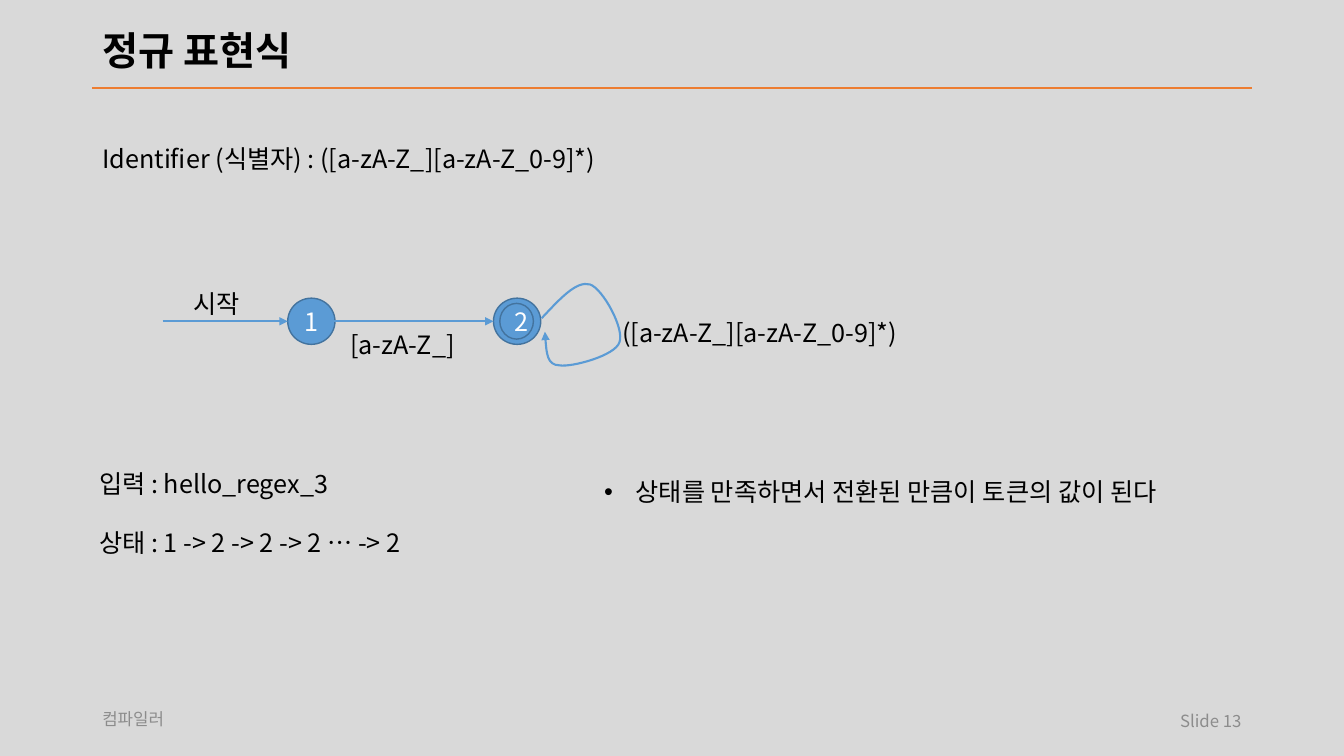
import pptx
import pptx.util
import pptx.dml.color
import pptx.enum.shapes
import pptx.enum.text
from dataclasses import dataclass
from lxml import etree
from pptx.oxml.ns import qn

Anchor = pptx.enum.text.MSO_ANCHOR
Align = pptx.enum.text.PP_ALIGN
AutoSize = pptx.enum.text.MSO_AUTO_SIZE


@dataclass(frozen=True)
class Theme:
    font: str = "Noto Sans CJK KR"
    background: str = "D9D9D9"
    text: str = "000000"
    muted: str = "8C8C8C"
    on_fill: str = "FFFFFF"
    accent: str = "5B9BD5"
    outline: str = "43739E"
    rule: str = "ED7D31"
    title_size: int = 28
    body_size: int = 18
    footer_size: int = 12
    line_width: float = 1.5
    outline_width: float = 1


def px(n):
    return pptx.util.Emu(n * 9525)


def rgb(value):
    return pptx.dml.color.RGBColor.from_string(value)


def apply(target, values):
    for name, value in values.items():
        setattr(target, name, value)


class Deck:
    def __init__(self, theme):
        self.theme = theme
        self.prs = pptx.Presentation()
        apply(self.prs, {"slide_width": px(1280), "slide_height": px(720)})
        self.s = self.prs.slides.add_slide(self.prs.slide_layouts[6])
        self.s.background.fill.solid()
        self.s.background.fill.fore_color.rgb = rgb(theme.background)

    def run(self, p, text, size=None, color=None, bold=False):
        r = p.add_run()
        r.text = text
        apply(r.font, {"size": pptx.util.Pt(size or self.theme.body_size),
                       "bold": bold, "name": self.theme.font})
        r.font.color.rgb = rgb(color or self.theme.text)
        etree.SubElement(r.font._element, qn("a:ea"), typeface=self.theme.font)

    def stroke(self, shape, color, width, arrow=None):
        shape.line.color.rgb = rgb(color)
        shape.line.width = pptx.util.Pt(width)
        if arrow:
            ln = shape.line._get_or_add_ln()
            etree.SubElement(ln, qn("a:" + arrow), type="triangle")

    def text(self, box, lines, frame=None, para=None, bullet=None, **font):
        tf = self.s.shapes.add_textbox(*map(px, box)).text_frame
        apply(tf, {"word_wrap": True, **(frame or {})})
        for i, line in enumerate(lines):
            p = tf.add_paragraph() if i else tf.paragraphs[0]
            apply(p, para or {})
            if i:
                p.space_before = pptx.util.Pt(21)
            if bullet:
                pPr = p._p.get_or_add_pPr()
                pPr.set("marL", str(px(30)))
                pPr.set("indent", str(px(-30)))
                etree.SubElement(pPr, qn("a:buFont"), typeface="Arial")
                etree.SubElement(pPr, qn("a:buChar"), char=bullet)
            self.run(p, line, **font)

    def label(self, box, text):
        self.text(box, [text], {"word_wrap": False,
                                "auto_size": AutoSize.SHAPE_TO_FIT_TEXT})

    def circle(self, box, text=None):
        sp = self.s.shapes.add_shape(pptx.enum.shapes.MSO_SHAPE.OVAL, *map(px, box))
        sp.shadow.inherit = False
        sp.fill.solid()
        sp.fill.fore_color.rgb = rgb(self.theme.accent)
        self.stroke(sp, self.theme.outline, self.theme.outline_width)
        if text:
            sp.text_frame.vertical_anchor = Anchor.MIDDLE
            p = sp.text_frame.paragraphs[0]
            p.alignment = Align.CENTER
            self.run(p, text, color=self.theme.on_fill)

    def line(self, x1, x2, y, color, arrow=None):
        c = self.s.shapes.add_connector(
            pptx.enum.shapes.MSO_CONNECTOR.STRAIGHT, px(x1), px(y), px(x2), px(y))
        self.stroke(c, color, self.theme.line_width, arrow)
        etree.SubElement(c._element.spPr, qn("a:effectLst"))

    def curve(self, start, points, color, arrow=None):
        builder = self.s.shapes.build_freeform(*start, scale=float(px(1)))
        builder.add_line_segments(points, close=False)
        sp = builder.convert_to_shape()
        sp.shadow.inherit = False
        sp.fill.background()
        self.stroke(sp, color, self.theme.line_width, arrow)
        # Every three points become one cubic Bézier segment
        segments = sp._element.xpath(".//a:lnTo")
        for i in range(0, len(segments), 3):
            bezier = etree.Element(qn("a:cubicBezTo"))
            segments[i].addprevious(bezier)
            for segment in segments[i:i + 3]:
                bezier.append(segment[0])
                segment.getparent().remove(segment)


def main():
    theme = Theme()
    deck = Deck(theme)
    middle = {"vertical_anchor": Anchor.MIDDLE}

    # Header
    deck.line(88, 1192, 84, theme.rule)
    deck.text((88, 21, 1104, 58), ["정규 표현식"], middle, {"line_spacing": 0.9},
              size=theme.title_size, bold=True)
    deck.label((88, 132, 577, 38), "Identifier (식별자) : ([a-zA-Z_][a-zA-Z_0-9]*)")

    # States: the accepting one has a double ring
    deck.circle((274, 284, 45, 44), "1")
    deck.circle((470, 284, 45, 44))
    deck.circle((476, 289, 32, 34), "2")

    # Transitions
    for x1, x2 in ((155, 274), (318, 470)):
        deck.line(x1, x2, 306, theme.accent, "tailEnd")
    deck.curve((519, 316), [(520, 331), (521, 348), (533, 348),
                            (544, 350), (586, 339), (590, 326),
                            (595, 313), (574, 275), (562, 271),
                            (549, 267), (533, 285), (516, 303)],
               theme.accent, "headEnd")
    deck.label((175, 270, 68, 38), "시작")
    deck.label((324, 309, 129, 38), "[a-zA-Z_]")
    deck.label((583, 297, 323, 38), "([a-zA-Z_][a-zA-Z_0-9]*)")

    # Worked example
    deck.text((85, 441, 395, 97),
              ["입력 : hello_regex_3", "상태 : 1 -> 2 -> 2 -> 2 … -> 2"])
    deck.text((566, 449, 632, 68),
              ["상태를 만족하면서 전환된 만큼이 토큰의 값이 된다"], bullet="•")

    # Footer
    footer = {"size": theme.footer_size, "color": theme.muted}
    deck.text((88, 666, 252, 38), ["컴파일러"], middle, **footer)
    deck.text((904, 667, 288, 38), ["Slide 13"], middle,
              {"alignment": Align.RIGHT}, **footer)

    deck.prs.save("out.pptx")


if __name__ == "__main__":
    main()
